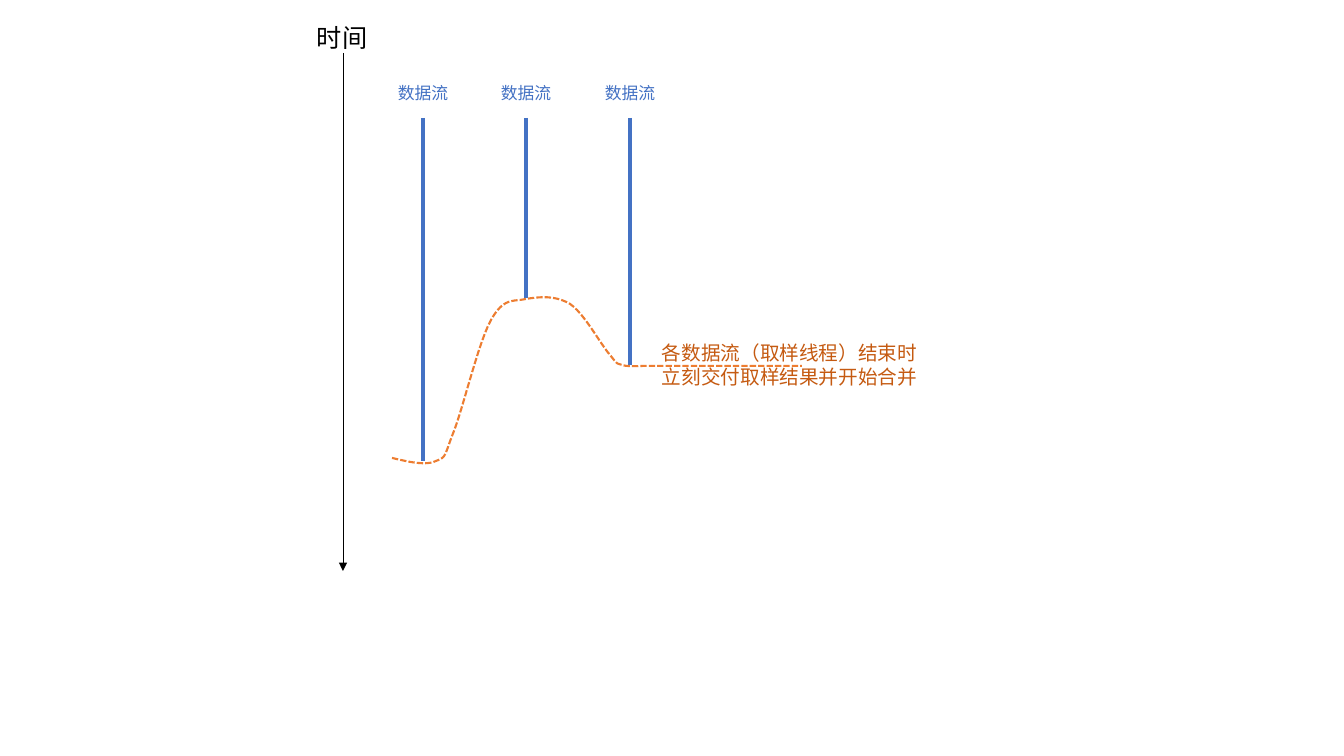
from pptx import Presentation
from pptx.dml.color import RGBColor
from pptx.enum.dml import MSO_LINE
from pptx.enum.shapes import MSO_CONNECTOR
from pptx.oxml.ns import qn
from pptx.util import Pt
from lxml import etree

STRAIGHT = MSO_CONNECTOR.STRAIGHT
DASH = MSO_LINE.SQUARE_DOT
EMU = 914400 / 100.8
FONT = "Calibri"
STEPS = 12
COLORS = {"time": "000000", "stream": "4472C4", "note": "C55A11", "curve": "ED7D31"}

deck = Presentation()
deck.slide_width, deck.slide_height = round(1344 * EMU), round(756 * EMU)
shapes = deck.slides.add_slide(deck.slide_layouts[6]).shapes


def add_text(text, box, size, color):
    """Add a wrapped text box, with its box in pixels."""
    frame = shapes.add_textbox(*[round(v * EMU) for v in box]).text_frame
    frame.word_wrap = True
    frame.text = text
    font = frame.paragraphs[0].runs[0].font
    font.name, font.size = FONT, Pt(size)
    font.color.rgb = RGBColor.from_string(COLORS[color])


def add_line(x, top, end, width, color):
    """Add a vertical line without shadow and return its properties element."""
    ends = [round(v * EMU) for v in (x, top, x, end)]
    line = shapes.add_connector(STRAIGHT, *ends)
    line.line.width = Pt(width)
    line.line.color.rgb = RGBColor.from_string(COLORS[color])
    props = line._element.spPr
    etree.SubElement(props, qn("a:effectLst"))
    return props


# Time axis
axis = add_line(343, 53, 571, 0.5, "time")
etree.SubElement(axis.find(qn("a:ln")), qn("a:tailEnd"), type="triangle")
add_text("时间", (307, 17, 89, 40), 18, "time")

# Data streams, evenly spaced
for i, end in enumerate((461, 298, 365)):
    x = 423 + 207 * i // 2
    add_line(x, 118, end, 2.25, "stream")
    add_text("数据流", (x - 35, 78, 71, 30), 12, "stream")

add_text("各数据流（取样线程）结束时立刻交付取样结果并开始合并",
         (652, 336, 288, 57), 14, "note")

# Merge curve: each row holds two control points and an end point
start = (392, 458)
bends = [
    ((409, 462), (426, 466), (436, 461)),
    ((447, 457), (444, 456), (454, 431)),
    ((463, 408), (479, 341), (491, 320)),
    ((504, 297), (513, 302), (526, 299)),
    ((539, 297), (555, 295), (570, 304)),
    ((584, 313), (601, 345), (610, 355)),
    ((618, 365), (616, 363), (622, 365)),
    ((627, 367), (643, 366), (643, 366)),
]
points = [start]
for bend in bends:
    knots = (points[-1], *bend)
    for step in range(1, STEPS + 1):
        t = step / STEPS
        u = 1 - t
        parts = (u ** 3, 3 * u * u * t, 3 * u * t * t, t ** 3)
        points.append(tuple(sum(w * k[axis] for w, k in zip(parts, knots))
                            for axis in (0, 1)))
points.append((802, 366))

dots = [(round(x * EMU), round(y * EMU)) for x, y in points]
path = shapes.build_freeform(*dots[0])
path.add_line_segments(dots[1:], close=False)
curve = path.convert_to_shape()
curve.shadow.inherit = False
curve.fill.background()
curve.line.width = Pt(1.5)
curve.line.color.rgb = RGBColor.from_string(COLORS["curve"])
curve.line.dash_style = DASH

deck.save("out.pptx")
